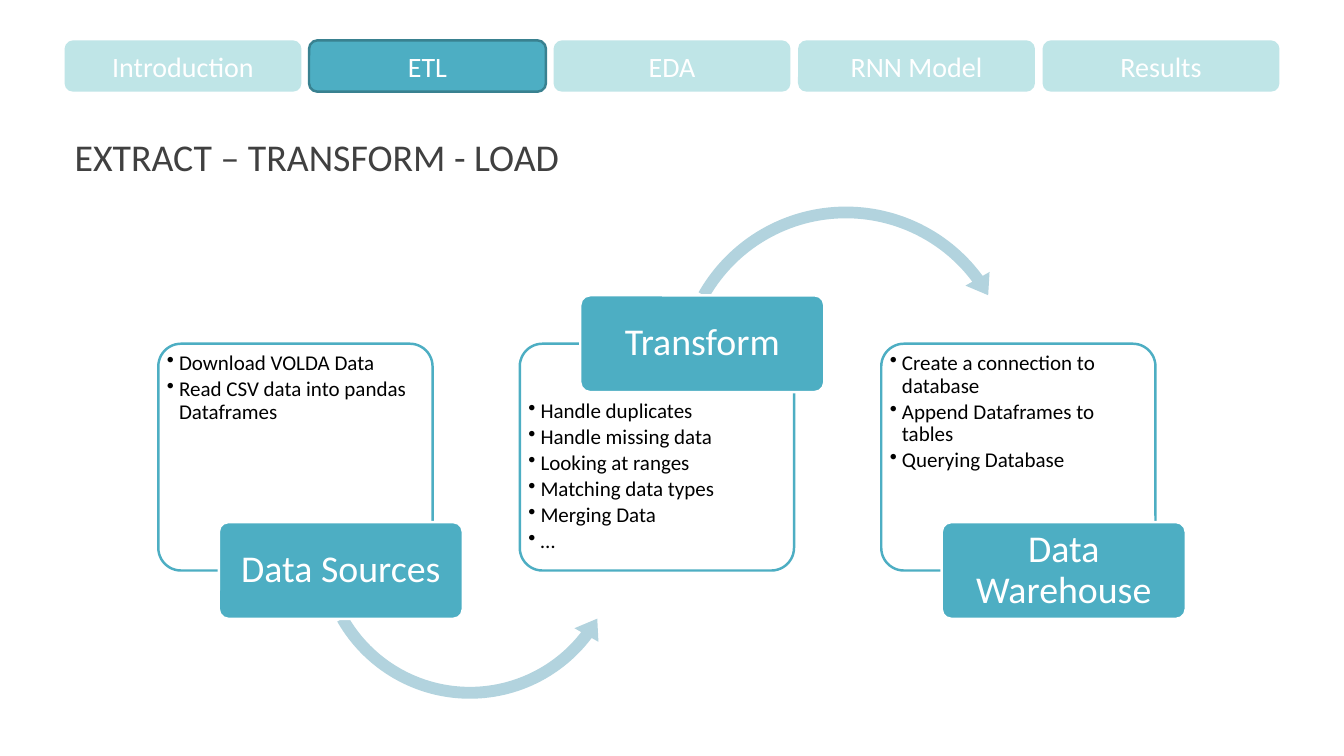
from lxml import etree
from pptx import Presentation
from pptx.dml.color import RGBColor
from pptx.enum.shapes import MSO_SHAPE
from pptx.enum.text import MSO_ANCHOR, MSO_AUTO_SIZE, PP_ALIGN
from pptx.oxml.ns import qn
from pptx.util import Inches, Pt

ROUNDED = MSO_SHAPE.ROUNDED_RECTANGLE
ARC_UNDER = MSO_SHAPE.LEFT_CIRCULAR_ARROW
ARC_OVER = MSO_SHAPE.CIRCULAR_ARROW
LEFT, CENTER = PP_ALIGN.LEFT, PP_ALIGN.CENTER
TOP, MIDDLE, BOTTOM = MSO_ANCHOR.TOP, MSO_ANCHOR.MIDDLE, MSO_ANCHOR.BOTTOM

FONT = "Calibri"
COLORS = {
    "accent": "4DAEC3", "accent_edge": "398190", "tab": "0098A1",
    "arc": "B2D3DE", "white": "FFFFFF", "title": "404040", "body": "000000",
}

TITLE = "EXTRACT – TRANSFORM - LOAD"
TABS = ["Introduction", "ETL", "EDA", "RNN Model", "Results"]
CURRENT_TAB = "ETL"
STEPS = [
    ("Data Sources", ["Download VOLDA Data", "Read CSV data into pandas Dataframes"]),
    ("Transform", ["Handle duplicates", "Handle missing data", "Looking at ranges",
                   "Matching data types", "Merging Data", "…"]),
    ("Data Warehouse", ["Create a connection to database", "Append Dataframes to tables",
                        "Querying Database"]),
]
ARCS = [
    (ARC_UNDER, 3.07, 3.83, 3.18, (0.037, 4.605, 22.36, 90.245, 0.043)),
    (ARC_OVER, 6.63, 1.97, 3.52, (0.033, 4.114, 194.131, 125.755, 0.039)),
]

SLIDE_W, SLIDE_H = 13.33, 7.5
MARGIN = 0.64
TAB_TOP, TAB_W, TAB_H, TAB_PITCH = 0.4, 2.35, 0.51, 2.425
CARD_LEFT, CARD_TOP, CARD_W, CARD_H, CARD_PITCH = 1.57, 3.41, 2.72, 2.25, 3.585
LABEL_W, LABEL_H, LABEL_SHIFT = 2.42, 0.96, 0.6
CARD_INSET = 0.02


def rgb(name):
    return RGBColor.from_string(COLORS[name])


def add_block(kind, box, fill, opacity=100, edge=None):
    block = slide.shapes.add_shape(kind, *(Inches(length) for length in box))
    block.shadow.inherit = False
    block.fill.solid()
    block.fill.fore_color.rgb = rgb(fill)
    if opacity < 100:
        color = block.fill._xPr.find(qn("a:solidFill"))[0]
        etree.SubElement(color, qn("a:alpha"), val=str(opacity * 1000))
    if edge:
        block.line.color.rgb = rgb(edge)
        block.line.width = Pt(1.75)
    else:
        block.line.fill.background()
    return block


def write(block, lines, size, color, align=CENTER, anchor=MIDDLE, insets=None, spacing=0.9):
    frame = block.text_frame
    frame.word_wrap = True
    frame.auto_size = MSO_AUTO_SIZE.NONE
    frame.vertical_anchor = anchor
    if insets:
        (frame.margin_left, frame.margin_top,
         frame.margin_right, frame.margin_bottom) = map(Inches, insets)
    for index, line in enumerate(lines):
        paragraph = frame.add_paragraph() if index else frame.paragraphs[0]
        paragraph.text = line
        paragraph.alignment = align
        paragraph.line_spacing = spacing
        paragraph.font.name = FONT
        paragraph.font.size = Pt(size)
        paragraph.font.color.rgb = rgb(color)
    return frame.paragraphs


def add_bullet(paragraph):
    paragraph.space_after = Pt(2.25)
    properties = paragraph._p.get_or_add_pPr()
    properties.set("marL", str(Inches(0.12)))
    properties.set("indent", str(Inches(-0.12)))
    bullet = etree.Element(qn("a:buChar"), char="•")
    properties.find(qn("a:spcAft")).addnext(bullet)


prs = Presentation()
prs.slide_width, prs.slide_height = Inches(SLIDE_W), Inches(SLIDE_H)
slide = prs.slides.add_slide(prs.slide_layouts[5])

title = slide.shapes.title
title.left, title.top = Inches(MARGIN), Inches(1.08)
title.width, title.height = Inches(12.06), Inches(0.75)
write(title, [TITLE], 27, "title", LEFT, BOTTOM)

for column, name in enumerate(TABS):
    box = (MARGIN + column * TAB_PITCH, TAB_TOP, TAB_W, TAB_H)
    if name == CURRENT_TAB:
        tab = add_block(ROUNDED, box, "accent", edge="accent_edge")
    else:
        tab = add_block(ROUNDED, box, "tab", opacity=25)
    write(tab, [name], 20, "white", spacing=1.0)

for column, (name, tasks) in enumerate(STEPS):
    left = CARD_LEFT + column * CARD_PITCH
    label_on_top = column % 2 == 1
    label_center = CARD_TOP if label_on_top else CARD_TOP + CARD_H

    card = add_block(ROUNDED, (left, CARD_TOP, CARD_W, CARD_H), "white", 90, "accent")
    card.adjustments[0] = 0.1
    top_inset = CARD_INSET + (LABEL_H / 2 if label_on_top else 0)
    for paragraph in write(card, tasks, 15, "body", LEFT, TOP,
                           (CARD_INSET, top_inset, CARD_INSET, CARD_INSET)):
        add_bullet(paragraph)

    if column < len(ARCS):
        kind, arc_left, arc_top, side, bends = ARCS[column]
        arc = add_block(kind, (arc_left, arc_top, side, side), "arc")
        for index, bend in enumerate(bends):
            arc.adjustments[index] = bend

    label_box = (left + LABEL_SHIFT, label_center - LABEL_H / 2, LABEL_W, LABEL_H)
    label = add_block(ROUNDED, label_box, "accent", edge="white")
    label.adjustments[0] = 0.1
    write(label, [name], 27, "white", insets=(0.06, 0.04, 0.06, 0.04))

prs.save("out.pptx")
